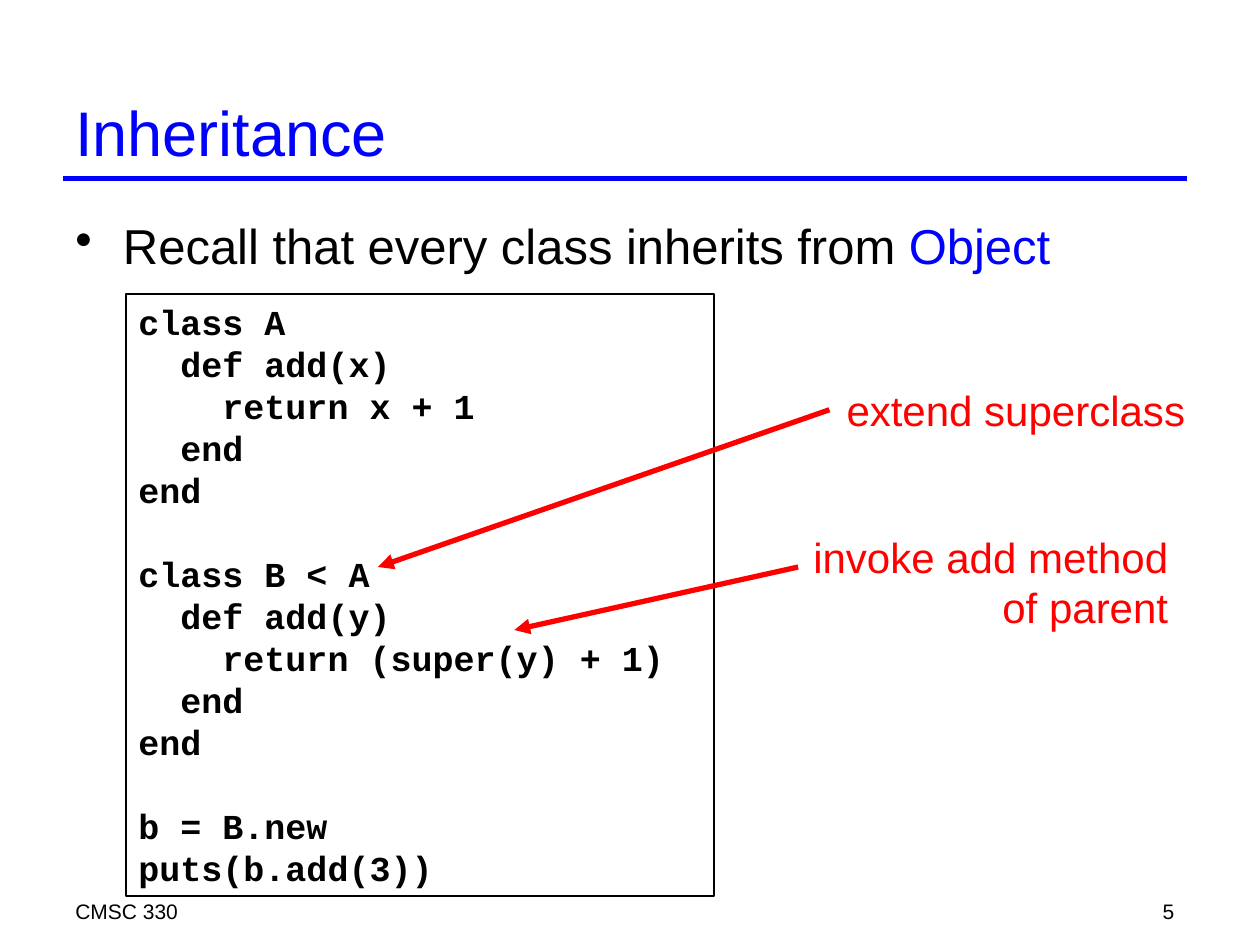
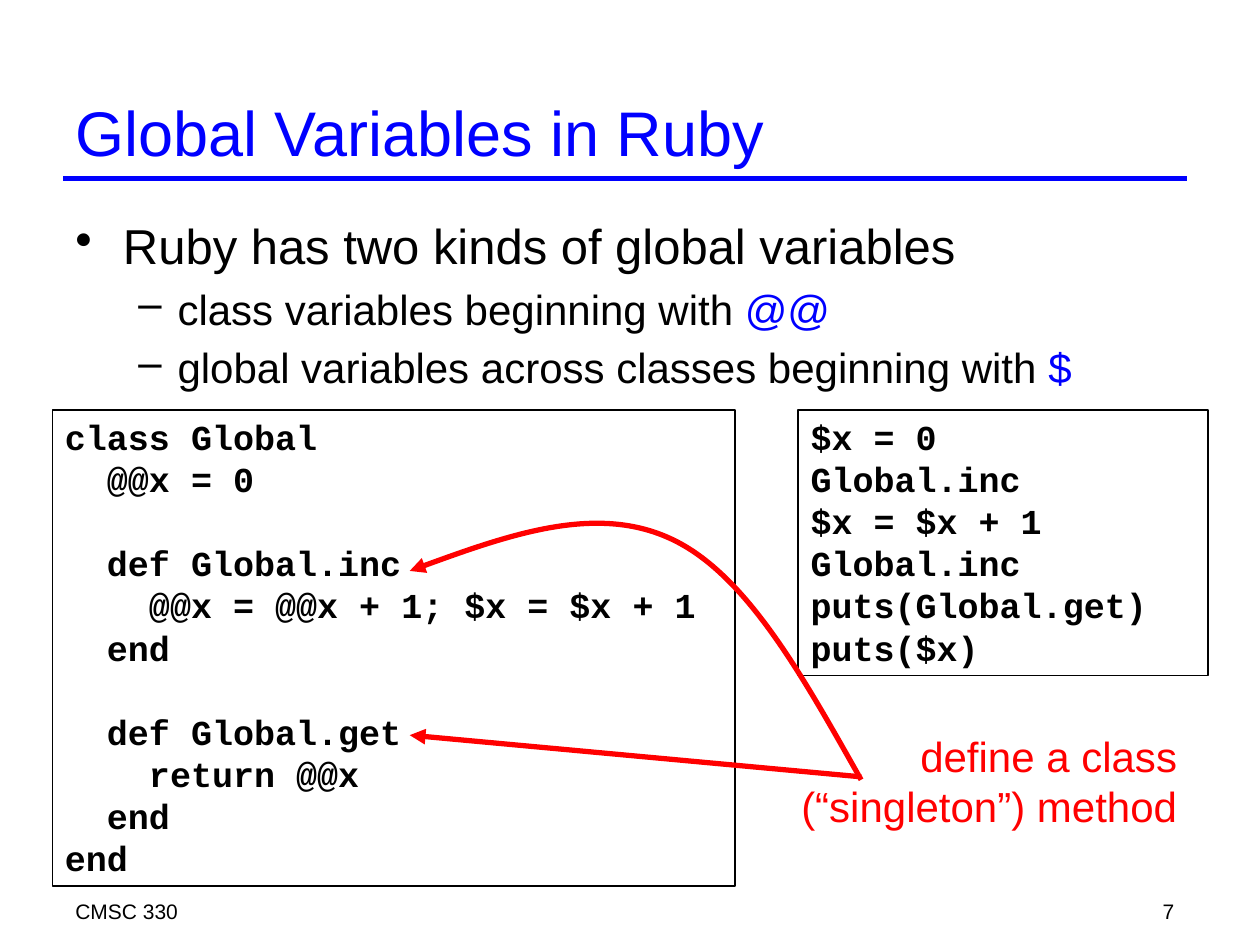
"""Build two lecture slides on Ruby inheritance and global variables."""
from lxml import etree
from pptx import Presentation, util as u
from pptx.dml.color import RGBColor
from pptx.enum import shapes, text
from pptx.oxml import ns

Cm, Pt = u.Cm, u.Pt


class Theme:
    blue = RGBColor(0, 0, 255)
    red = RGBColor(255, 0, 0)
    black = RGBColor(0, 0, 0)
    sans, mono = "Arial", "Courier New"
    title, callout, code, footer = 36, 24, 20, 12
    bullets = (28, 24)
    leading, bullet_gap = 1.2, 0.2
    rule_width, arrow_width, frame_width = 3, 3, 1


COURSE = "CMSC 330"
LEFT, RIGHT = 1.27, 23.92
WIDTH = RIGHT - LEFT
TITLE_TOP, RULE_Y, BODY_TOP, FOOTER_TOP = 1.7, 3.6, 4.23, 17.99
BULLET_LEVELS = [("•", 0.96, -0.96), ("–", 2.06, -0.79)]

SLIDES = [
    {
        "title": "Inheritance",
        "number": 5,
        "bullets": [(0, "Recall that every class inherits from ", "Object")],
        "listings": [((2.54, 5.93, 11.86, 12.14), """\
class A
  def add(x)
    return x + 1
  end
end

class B < A
  def add(y)
    return (super(y) + 1)
  end
end

b = B.new
puts(b.add(3))""")],
        "callouts": [
            ((16.8, 7.62, 7.34, 1.27), ["extend superclass"]),
            ((16.13, 10.58, 7.67, 2.29), ["invoke add method", "of parent"]),
        ],
        "arrows": [
            ((16.72, 8.26), (7.62, 11.43)),
            ((16.09, 11.43), (10.37, 12.7)),
        ],
        "curves": [],
    },
    {
        "title": "Global Variables in Ruby",
        "number": 7,
        "bullets": [
            (0, "Ruby has two kinds of global variables", ""),
            (1, "class variables beginning with ", "@@"),
            (1, "global variables across classes beginning with ", "$"),
        ],
        "listings": [
            ((1.06, 8.26, 13.76, 9.6), """\
class Global
  @@x = 0

  def Global.inc
    @@x = @@x + 1; $x = $x + 1
  end

  def Global.get
    return @@x
  end
end"""),
            ((16.09, 8.26, 8.26, 5.36), """\
$x = 0
Global.inc
$x = $x + 1
Global.inc
puts(Global.get)
puts($x)"""),
        ],
        "callouts": [
            ((15.88, 14.6, 8.1, 2.29), ["define a class", "(“singleton”) method"]),
        ],
        "arrows": [((17.36, 15.66), (8.26, 14.82))],
        "curves": [[
            (17.36, 15.72), (16.2, 13.67), (15.06, 11.58), (13.54, 10.87),
            (12.04, 10.16), (10.13, 10.82), (8.26, 11.51),
        ]],
    },
]


def apply(target, **values):
    for name, value in values.items():
        setattr(target, name, value)


def place(box):
    return [Cm(length) for length in box]


def write(paragraph, pieces, size, face=Theme.sans, bold=False, **layout):
    apply(paragraph, line_spacing=Pt(size * Theme.leading), **layout)
    for wording, color in pieces:
        if wording:
            run = paragraph.add_run()
            run.text = wording
            apply(run.font, size=Pt(size), name=face, bold=bold)
            run.font.color.rgb = color


def paragraphs(frame):
    yield frame.paragraphs[0]
    while True:
        yield frame.add_paragraph()


def add_words(slide, box, lines, size, color, wrap=True, anchor="TOP", align="LEFT"):
    frame = slide.shapes.add_textbox(*place(box)).text_frame
    apply(frame, word_wrap=wrap, vertical_anchor=text.MSO_ANCHOR[anchor])
    for line, paragraph in zip(lines, paragraphs(frame)):
        write(paragraph, [(line, color)], size, alignment=text.PP_ALIGN[align])


def add_bullets(slide, items):
    body = slide.shapes.add_textbox(*place((LEFT, BODY_TOP, WIDTH, 13.55)))
    body.text_frame.word_wrap = True
    for index, (item, paragraph) in enumerate(zip(items, paragraphs(body.text_frame))):
        level, wording, keyword = item
        mark, margin, indent = BULLET_LEVELS[level]
        size = Theme.bullets[level]
        properties = paragraph._p.get_or_add_pPr()
        properties.set("marL", str(Cm(margin)))
        properties.set("indent", str(Cm(indent)))
        etree.SubElement(properties, ns.qn("a:buChar")).set("char", mark)
        gap = {"space_before": Pt(size * Theme.bullet_gap)} if index else {}
        write(paragraph, [(wording, Theme.black), (keyword, Theme.blue)], size,
              level=level, **gap)


def add_listing(slide, box, code):
    frame = slide.shapes.add_shape(shapes.MSO_SHAPE.RECTANGLE, *place(box))
    frame.shadow.inherit = False
    frame.fill.background()
    frame.line.color.rgb = Theme.black
    frame.line.width = Pt(Theme.frame_width)
    apply(frame.text_frame, word_wrap=True, vertical_anchor=text.MSO_ANCHOR.TOP)
    lines = paragraphs(frame.text_frame)
    for index, block in enumerate(code.split("\n\n")):
        for row, line in enumerate(block.split("\n")):
            skipped = index and not row
            gap = {"space_before": Pt(Theme.code * Theme.leading)} if skipped else {}
            write(next(lines), [(line, Theme.black)], Theme.code, Theme.mono, True,
                  alignment=text.PP_ALIGN.LEFT, **gap)


def style_stroke(stroke, color, width, arrow=True):
    stroke.line.color.rgb = color
    stroke.line.width = Pt(width)
    if arrow:
        outline = stroke.line._get_or_add_ln()
        etree.SubElement(outline, ns.qn("a:tailEnd")).set("type", "triangle")


def add_straight(slide, start, end, color, width, arrow=True):
    stroke = slide.shapes.add_connector(
        shapes.MSO_CONNECTOR.STRAIGHT, *place(start + end))
    style_stroke(stroke, color, width, arrow)
    etree.SubElement(stroke._element.spPr, ns.qn("a:effectLst"))


def add_curve(slide, points):
    start, *controls = [place(point) for point in points]
    builder = slide.shapes.build_freeform(*start)
    builder.add_line_segments(controls, close=False)
    curve = builder.convert_to_shape()
    segments = list(curve._element.iter(ns.qn("a:lnTo")))
    for first in range(0, len(segments), 3):
        trio = segments[first:first + 3]
        bend = etree.Element(ns.qn("a:cubicBezTo"))
        trio[0].addprevious(bend)
        for segment in trio:
            bend.append(segment[0])
            segment.getparent().remove(segment)
    curve.shadow.inherit = False
    curve.fill.background()
    style_stroke(curve, Theme.red, Theme.arrow_width)


def add_frame(slide, title, number):
    add_straight(slide, (LEFT, RULE_Y), (RIGHT, RULE_Y), Theme.blue,
                 Theme.rule_width, arrow=False)
    add_words(slide, (LEFT, FOOTER_TOP, 15.45, 0.64), [COURSE],
              Theme.footer, Theme.black)
    add_words(slide, (RIGHT - 5.29, FOOTER_TOP, 5.29, 0.64), [str(number)],
              Theme.footer, Theme.black, align="RIGHT")
    add_words(slide, (LEFT, TITLE_TOP, WIDTH, RULE_Y - TITLE_TOP), [title],
              Theme.title, Theme.blue, anchor="MIDDLE")


def main():
    deck = Presentation()
    apply(deck, slide_width=Cm(25.4), slide_height=Cm(19.05))
    for content in SLIDES:
        slide = deck.slides.add_slide(deck.slide_layouts[6])
        add_frame(slide, content["title"], content["number"])
        add_bullets(slide, content["bullets"])
        for box, code in content["listings"]:
            add_listing(slide, box, code)
        for box, lines in content["callouts"]:
            add_words(slide, box, lines, Theme.callout, Theme.red,
                      wrap=False, align="RIGHT")
        for start, end in content["arrows"]:
            add_straight(slide, start, end, Theme.red, Theme.arrow_width)
        for points in content["curves"]:
            add_curve(slide, points)
    deck.save("out.pptx")


if __name__ == "__main__":
    main()
